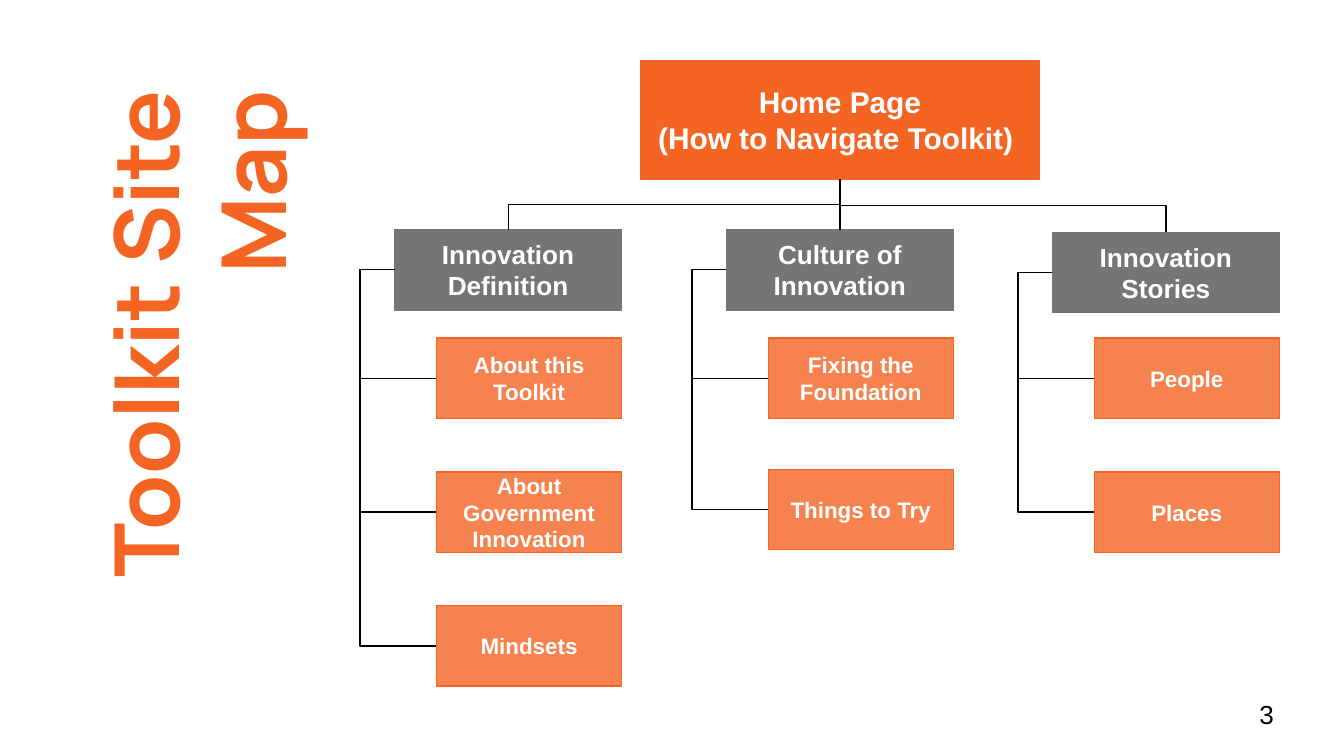
from lxml.etree import SubElement
from pptx import Presentation
from pptx.dml.color import RGBColor
from pptx.enum.shapes import MSO_CONNECTOR, MSO_SHAPE
from pptx.enum.text import MSO_ANCHOR, PP_ALIGN
from pptx.oxml.ns import qn
from pptx.util import Cm, Pt

ORANGE, GREY, WHITE, BLACK = "F46524", "757575", "FFFFFF", "000000"
HEAD_W, PAGE_W, BOX_H = 4.29, 3.5, 1.52
INDENT = HEAD_W - PAGE_W
BEND = -0.827
BRANCHES = [
    (7.46, 4.34, 2.53, "Innovation Definition",
     ["About this Toolkit", "About Government Innovation", "Mindsets"]),
    (13.73, 4.34, 2.48, "Culture of Innovation",
     ["Fixing the Foundation", "Things to Try"]),
    (19.89, 4.39, 2.53, "Innovation Stories", ["People", "Places"]),
]


def paint(color, code):
    """Set a colour from a hex string."""
    color.rgb = RGBColor.from_string(code)


def write(frame, text, size, code, align, bold=True, font="Arial",
          anchor=MSO_ANCHOR.MIDDLE):
    """Fill a text frame with evenly styled paragraphs."""
    frame.text = text
    frame.word_wrap = True
    frame.vertical_anchor = anchor
    frame.margin_left = frame.margin_right = Cm(0.25)
    frame.margin_top = frame.margin_bottom = Cm(0.25)
    for para in frame.paragraphs:
        para.alignment = align
        para.font.name, para.font.size, para.font.bold = font, Pt(size), bold
        paint(para.font.color, code)


def add_box(slide, box, text, size, code, alpha=None):
    """Add a labelled rectangle, see-through if alpha is given."""
    shape = slide.shapes.add_shape(MSO_SHAPE.RECTANGLE, *map(Cm, box))
    shape.shadow.inherit = False
    shape.fill.solid()
    paint(shape.fill.fore_color, code)
    if alpha:
        tint = shape._element.spPr.find(qn("a:solidFill")).find(qn("a:srgbClr"))
        SubElement(tint, qn("a:alpha"), val=str(alpha * 1000))
    paint(shape.line.color, code)
    shape.line.width = Pt(0.75)
    write(shape.text_frame, text, size, WHITE, PP_ALIGN.CENTER)
    return shape


def join(slide, start, end, sides, kind=MSO_CONNECTOR.ELBOW):
    """Connect two boxes at the given sides with a thin black line."""
    link = slide.shapes.add_connector(kind, 0, 0, 0, 0)
    link.begin_connect(start, sides[0])
    link.end_connect(end, sides[1])
    paint(link.line.color, BLACK)
    link.line.width = Pt(0.75)
    SubElement(link._element.spPr, qn("a:effectLst"))
    return link


def drop(slide, home, head):
    """Run a line from the foot of the home box to the top of a head."""
    gap = head.left + head.width // 2 - home.left - home.width // 2
    if abs(gap) < Cm(0.02):
        join(slide, home, head, (2, 0), MSO_CONNECTOR.STRAIGHT)
        return
    link = join(slide, home, head, (2, 0))
    mid_x = (link.begin_x + link.end_x) // 2
    mid_y = (link.begin_y + link.end_y) // 2
    link.width, link.height = head.top - home.top - home.height, abs(gap)
    link.left, link.top = mid_x - link.width // 2, mid_y - link.height // 2
    frame = link._element.spPr.find(qn("a:xfrm"))
    frame.set("rot", "16200000" if gap > 0 else "5400000")
    frame.set("flipH", "1" if gap > 0 else "0")


def hook(slide, head, page):
    """Run a line from the left of a head around to the left of a page."""
    link = join(slide, head, page, (1, 1))
    geom = link._element.spPr.find(qn("a:prstGeom"))
    guides = geom.find(qn("a:avLst"))
    if guides is None:
        guides = SubElement(geom, qn("a:avLst"))
    SubElement(guides, qn("a:gd"), name="adj1", fmla=f"val {round(BEND * 100000)}")


def add_branch(slide, home, left, top, step, name, pages):
    """Add a section head with its column of pages."""
    head = add_box(slide, (left, top, HEAD_W, BOX_H), name, 14, GREY)
    drop(slide, home, head)
    for row, text in enumerate(pages):
        box = (left + INDENT, 6.39 + row * step, PAGE_W, BOX_H)
        hook(slide, head, add_box(slide, box, text, 12, ORANGE, 80))


def add_title(slide, box, text):
    """Place the title placeholder, turned to read upwards."""
    title = slide.shapes.title
    title.left, title.top, title.width, title.height = map(Cm, box)
    title.rotation = 270
    write(title.text_frame, text, 48, ORANGE, PP_ALIGN.RIGHT,
          font="Manrope", anchor=MSO_ANCHOR.BOTTOM)


def add_number(slide, box, text):
    """Add the page number."""
    label = slide.shapes.add_textbox(*map(Cm, box))
    write(label.text_frame, text, 14, BLACK, PP_ALIGN.LEFT, bold=False)


def main():
    """Build the site map slide."""
    deck = Presentation()
    deck.slide_width, deck.slide_height = Cm(25.4), Cm(14.29)
    slide = deck.slides.add_slide(deck.slide_layouts[5])
    add_title(slide, (-1.73, 5, 11.28, 4.19), "Toolkit Site Map")
    home = add_box(slide, (12.1, 1.14, 7.55, 2.25),
                   "Home Page\n(How to Navigate Toolkit) ", 16, ORANGE)
    for branch in BRANCHES:
        add_branch(slide, home, *branch)
    add_number(slide, (23.55, 12.95, 1.52, 1.09), "3")
    deck.save("out.pptx")


if __name__ == "__main__":
    main()
